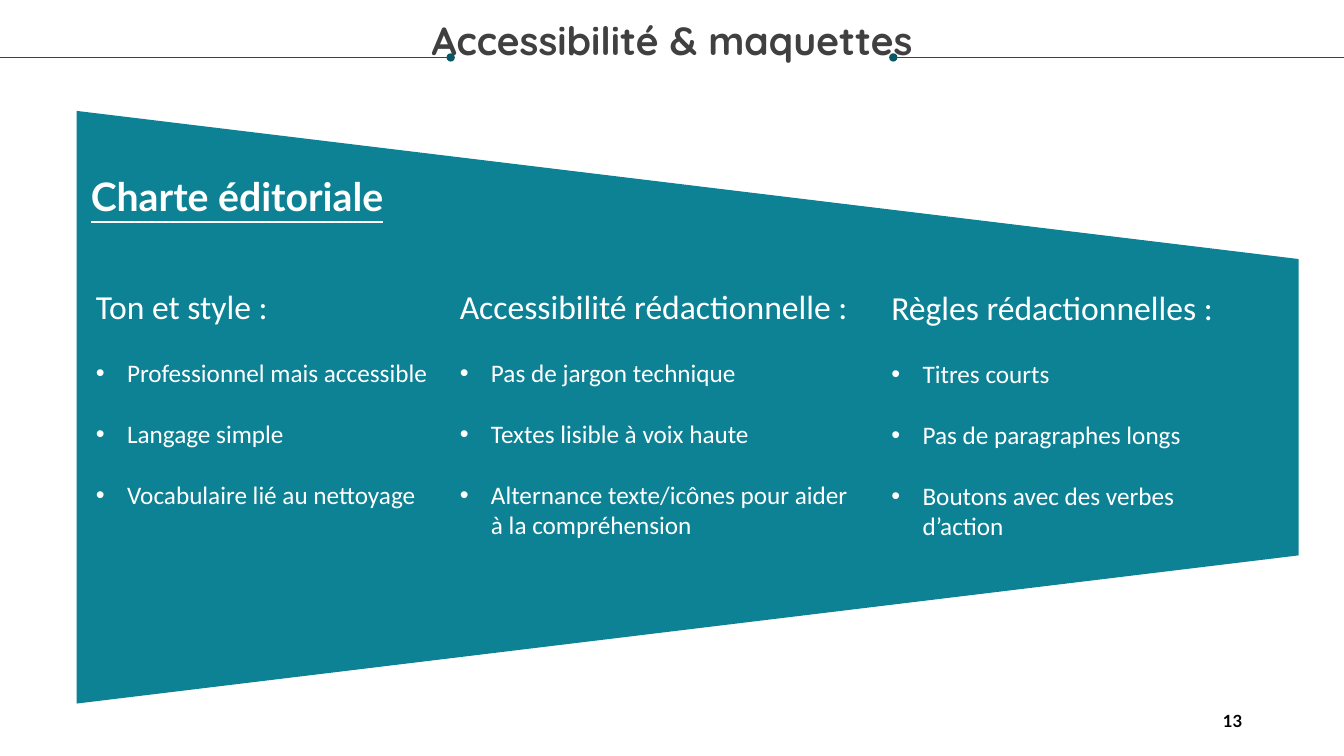
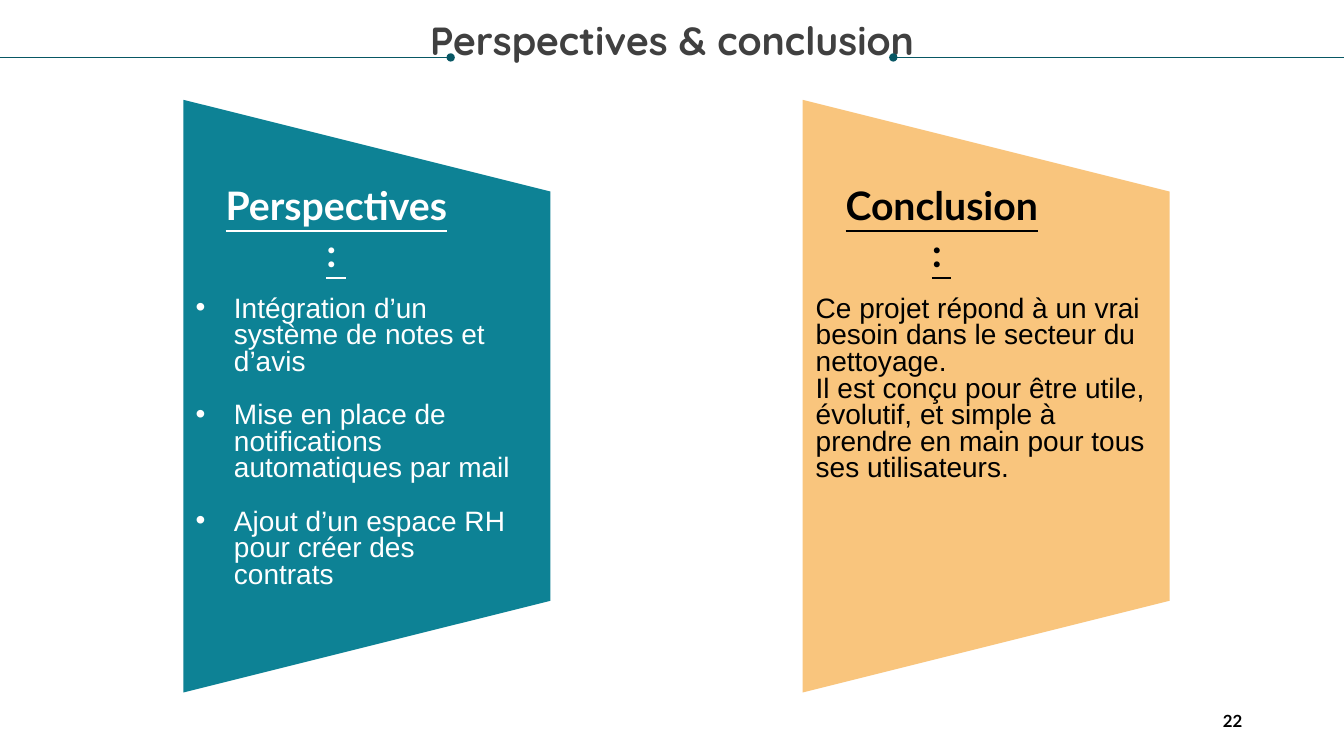
from lxml.etree import SubElement
from pptx import Presentation
from pptx.dml.color import RGBColor
from pptx.enum.shapes import MSO_CONNECTOR, MSO_SHAPE
from pptx.enum.text import MSO_ANCHOR, MSO_AUTO_SIZE, PP_ALIGN
from pptx.oxml.ns import qn
from pptx.util import Emu, Pt

SCALE = 9144
SLIDE_W, SLIDE_H = 1333, 750
TEAL = RGBColor(0x0D, 0x82, 0x95)
DARK_TEAL = RGBColor(0x08, 0x57, 0x64)
SAND = RGBColor(0xF9, 0xC5, 0x7D)
GREY = RGBColor(0x40, 0x40, 0x40)
WHITE = RGBColor(0xFF, 0xFF, 0xFF)
BLACK = RGBColor(0, 0, 0)


def px(*lengths):
    return [Emu(length * SCALE) for length in lengths]


class Deck:
    """Hold the shared style and the current slide, and add its elements."""

    def __init__(self):
        self.prs = Presentation()
        self.prs.slide_width, self.prs.slide_height = px(SLIDE_W, SLIDE_H)
        self.slide = None

    def new_slide(self, title, number):
        self.slide = self.prs.slides.add_slide(self.prs.slide_layouts[4])
        frame = self.place(0, (25, 21, 1283, 42))
        self.add_text(frame, title, 28, "Quicksand", GREY, bold=True,
                      align=PP_ALIGN.CENTER, line=0.9)
        self.rule(447, 0)
        self.rule(886, SLIDE_W)
        self.page_number(number)

    def place(self, idx, box, inset=(0, 0)):
        holder = self.slide.placeholders[idx]
        holder.left, holder.top, holder.width, holder.height = px(*box)
        frame = holder.text_frame
        frame.word_wrap = True
        frame.auto_size = MSO_AUTO_SIZE.NONE
        frame.vertical_anchor = MSO_ANCHOR.TOP
        frame.margin_left, frame.margin_top = px(*inset)
        frame.margin_right, frame.margin_bottom = px(*inset)
        return frame

    def add_text(self, frame, text, size, font, color, bold=False, underline=False,
                 align=PP_ALIGN.LEFT, line=1.0, before=0, indent=0, first=True):
        paragraph = frame.paragraphs[0] if first else frame.add_paragraph()
        paragraph.text = text
        props = paragraph._p.get_or_add_pPr()
        hang, = px(indent)
        props.set("marL", str(hang))
        props.set("indent", str(-hang))
        if indent:
            SubElement(props, qn("a:buFont")).set("typeface", "Arial")
            SubElement(props, qn("a:buChar")).set("char", "•")
        else:
            SubElement(props, qn("a:buNone"))
        paragraph.alignment = align
        paragraph.line_spacing = line
        paragraph.space_before = Pt(before)
        paragraph.space_after = Pt(0)
        for run in paragraph.runs:
            run.font.size = Pt(size)
            run.font.name = font
            run.font.bold = bold
            run.font.underline = underline
            run.font.color.rgb = color

    def rule(self, dot_x, edge_x):
        line = self.slide.shapes.add_connector(
            MSO_CONNECTOR.STRAIGHT, *px(dot_x, 57, edge_x, 57))
        line.line.color.rgb = DARK_TEAL
        line.line.width = Pt(0.5)
        SubElement(line.line._get_or_add_ln(), qn("a:headEnd")).set("type", "oval")
        SubElement(line._element.spPr, qn("a:effectLst"))

    def page_number(self, number):
        frame = self.slide.shapes.add_textbox(*px(942, 695, 300, 40)).text_frame
        frame.word_wrap = True
        frame.vertical_anchor = MSO_ANCHOR.MIDDLE
        self.add_text(frame, number, 12, "Lato", BLACK, bold=True,
                      align=PP_ALIGN.RIGHT)

    def panel(self, left, top, width, height, color):
        middle_x, middle_y = left + width // 2, top + height // 2
        shape = self.slide.shapes.add_shape(
            MSO_SHAPE.TRAPEZOID,
            *px(middle_x - height // 2, middle_y - width // 2, height, width))
        shape.rotation = 90
        shape.shadow.inherit = False
        shape.fill.solid()
        shape.fill.fore_color.rgb = color
        shape.line.fill.background()
        self.slide.shapes._spTree.insert(2, shape._element)

    def heading(self, idx, box, text, color):
        self.add_text(self.place(idx, box), text, 28, "Lato", color, bold=True,
                      underline=True, align=PP_ALIGN.CENTER)

    def column(self, idx, box, lead, items):
        frame = self.place(idx, box, inset=(10, 5))
        self.add_text(frame, lead, 24, "Calibri", WHITE)
        for item in items:
            self.add_text(frame, item, 18, "Calibri", WHITE, before=22, indent=31,
                          first=False)

    def body(self, idx, box, texts, color, gap=0, indent=0):
        frame = self.place(idx, box)
        for order, text in enumerate(texts):
            self.add_text(frame, text, 20, "Arial", color, line=Pt(19),
                          before=gap if order else 0, indent=indent,
                          first=order == 0)


def main():
    deck = Deck()

    deck.new_slide("Accessibilité & maquettes", "13")
    deck.panel(76, 110, 1212, 588, TEAL)
    deck.heading(1, (85, 171, 300, 47), "Charte éditoriale", WHITE)
    deck.column(2, (85, 279, 353, 232), "Ton et style :", [
        "Professionnel mais accessible",
        "Langage simple",
        "Vocabulaire lié au nettoyage"])
    deck.column(3, (446, 279, 409, 263), "Accessibilité rédactionnelle :", [
        "Pas de jargon technique",
        "Textes lisible à voix haute",
        "Alternance texte/icônes pour aider à la compréhension"])
    deck.column(4, (874, 280, 378, 263), "Règles rédactionnelles :", [
        "Titres courts",
        "Pas de paragraphes longs",
        "Boutons avec des verbes d’action"])

    deck.new_slide("Perspectives & conclusion", "22")
    for left, color in ((182, TEAL), (796, SAND)):
        deck.panel(left, 99, 364, 588, color)
    deck.heading(1, (215, 180, 237, 47), "Perspectives : ", WHITE)
    deck.body(2, (194, 295, 324, 266), [
        "Intégration d’un système de notes et d’avis",
        "Mise en place de notifications automatiques par mail",
        "Ajout d’un espace RH pour créer des contrats"], WHITE, gap=19, indent=38)
    deck.heading(3, (832, 180, 204, 47), "Conclusion : ", BLACK)
    deck.body(4, (809, 295, 340, 187), [
        "Ce projet répond à un vrai besoin dans le secteur du nettoyage.",
        "Il est conçu pour être utile, évolutif, et simple à prendre en main "
        "pour tous ses utilisateurs."], BLACK)

    deck.prs.save("out.pptx")


if __name__ == "__main__":
    main()
